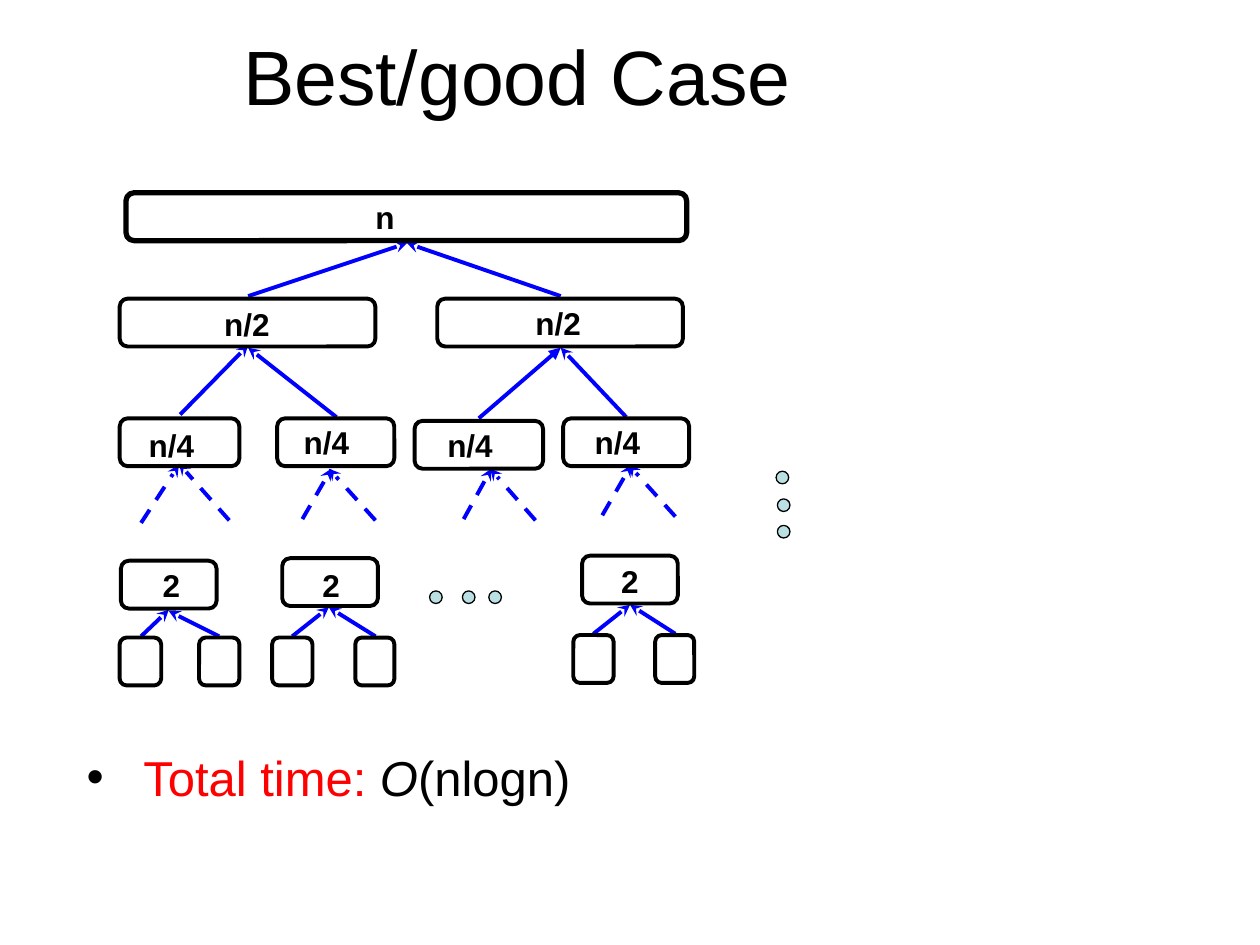
from dataclasses import dataclass

from lxml.etree import SubElement
from pptx import Presentation
from pptx.dml.color import RGBColor as RGB
from pptx.enum.dml import MSO_LINE
from pptx.enum.shapes import MSO_CONNECTOR, MSO_SHAPE
from pptx.enum.text import MSO_ANCHOR, MSO_AUTO_SIZE, PP_ALIGN
from pptx.oxml.ns import qn
from pptx.util import Inches, Pt


@dataclass(frozen=True)
class Theme:
    font: str = "Arial"
    black: RGB = RGB(0, 0, 0)
    red: RGB = RGB(255, 0, 0)
    blue: RGB = RGB(0, 0, 255)
    dot: RGB = RGB(0xBB, 0xE0, 0xE3)
    title: int = 44
    body: int = 28
    label: int = 18
    thin: float = 0.75
    line: float = 2.25
    thick: float = 3


T = Theme()
BOX_H = 0.38
DOT = 0.1

# Boxes of the tree: left, top, width
ROOT = (1, 1.53, 4.45)
NODES = [
    (0.95, 2.37, 2.03), (3.47, 2.37, 1.95),
    (0.95, 3.32, 0.95), (2.2, 3.32, 0.93), (3.29, 3.34, 1.02), (4.47, 3.32, 1),
    (0.96, 4.45, 0.76), (2.24, 4.43, 0.76), (4.62, 4.41, 0.76),
    (0.95, 5.06, 0.33), (1.58, 5.06, 0.32), (2.16, 5.06, 0.32),
    (2.82, 5.06, 0.31), (4.55, 5.04, 0.32), (5.2, 5.04, 0.31),
]

# Labels: text, left, top
LABELS = [
    ("n", 2.98, 1.57), ("n/2", 1.78, 2.42), ("n/2", 4.25, 2.41),
    ("n/4", 1.18, 3.38), ("n/4", 2.41, 3.36), ("n/4", 3.55, 3.38), ("n/4", 4.72, 3.36),
    ("2", 1.29, 4.49), ("2", 2.56, 4.49), ("2", 4.93, 4.46),
]

# Arrows: start, tip
MERGES = [
    ((1.97, 2.35), (3.23, 1.93)), ((4.45, 2.35), (3.23, 1.93)),
    ((1.43, 3.29), (1.97, 2.74)), ((2.67, 3.31), (1.97, 2.76)),
    ((4.97, 3.31), (4.45, 2.76)),
    ((1.12, 5.05), (1.34, 4.84)), ((1.74, 5.05), (1.34, 4.85)),
    ((2.32, 5.05), (2.61, 4.82)), ((2.98, 5.05), (2.61, 4.82)),
    ((4.71, 5.03), (5, 4.8)), ((5.36, 5.03), (5, 4.8)),
]
SKIPPED_LEVELS = [
    ((1.12, 4.15), (1.42, 3.69)), ((1.82, 4.13), (1.42, 3.68)),
    ((2.4, 4.12), (2.63, 3.72)), ((2.98, 4.13), (2.61, 3.72)),
    ((3.68, 4.12), (3.9, 3.72)), ((4.25, 4.13), (3.89, 3.72)),
    ((4.78, 4.09), (5.01, 3.69)), ((5.36, 4.1), (4.99, 3.69)),
]
DOTS = [(3.41, 4.69), (3.67, 4.69), (3.88, 4.69),
        (6.16, 3.74), (6.17, 3.96), (6.17, 4.17)]


def add_run(p, text, size, color=T.black, bold=False, italic=False):
    r = p.add_run()
    r.text = text
    f = r.font
    f.name, f.size, f.bold, f.italic = T.font, Pt(size), bold, italic
    f.color.rgb = color


def add_title(s, text):
    sp = s.shapes.title
    sp.left, sp.top = Inches(-0.02), Inches(0.19)
    sp.width, sp.height = Inches(8.25), Inches(0.81)
    tf = sp.text_frame
    tf.auto_size = MSO_AUTO_SIZE.NONE
    tf.vertical_anchor = MSO_ANCHOR.MIDDLE
    p = tf.paragraphs[0]
    p.alignment = PP_ALIGN.CENTER
    add_run(p, text, T.title)


def add_box(s, x, y, w, weight=T.line):
    sp = s.shapes.add_shape(MSO_SHAPE.ROUNDED_RECTANGLE,
                            Inches(x), Inches(y), Inches(w), Inches(BOX_H))
    sp.shadow.inherit = False
    sp.adjustments[0] = 0.167
    sp.fill.background()
    sp.line.color.rgb = T.black
    sp.line.width = Pt(weight)


def add_dot(s, x, y):
    sp = s.shapes.add_shape(MSO_SHAPE.OVAL, Inches(x), Inches(y), Inches(DOT), Inches(DOT))
    sp.shadow.inherit = False
    sp.fill.solid()
    sp.fill.fore_color.rgb = T.dot
    sp.line.color.rgb = T.black
    sp.line.width = Pt(T.thin)


def add_arrow(s, start, tip, head="stealth", dashed=False):
    c = s.shapes.add_connector(MSO_CONNECTOR.STRAIGHT,
                               *(Inches(v) for v in (*start, *tip)))
    c.line.color.rgb = T.blue
    c.line.width = Pt(T.line)
    if dashed:
        c.line.dash_style = MSO_LINE.DASH
    SubElement(c.line._get_or_add_ln(), qn("a:tailEnd"), type=head)
    SubElement(c._element.spPr, qn("a:effectLst"))


def add_label(s, text, x, y):
    tf = s.shapes.add_textbox(Inches(x), Inches(y), Inches(0.56), Inches(0.3)).text_frame
    tf.word_wrap = True
    tf.margin_left = tf.margin_right = tf.margin_top = tf.margin_bottom = 0
    add_run(tf.paragraphs[0], text, T.label, bold=True)


def add_bullet(s, runs):
    tf = s.shapes.add_textbox(Inches(0.59), Inches(5.88), Inches(7.73), Inches(1.04)).text_frame
    tf.word_wrap = True
    p = tf.paragraphs[0]
    pPr = p._p.get_or_add_pPr()
    pPr.set("marL", str(Inches(0.45)))
    pPr.set("indent", str(-Inches(0.45)))
    color = SubElement(pPr, qn("a:buClr"))
    SubElement(color, qn("a:srgbClr"), val=str(T.black))
    SubElement(pPr, qn("a:buFont"), typeface=T.font)
    SubElement(pPr, qn("a:buChar"), char="•")
    for text, style in runs:
        add_run(p, text, T.body, **style)


def main():
    prs = Presentation()
    prs.slide_width, prs.slide_height = Inches(10), Inches(7.5)
    s = prs.slides.add_slide(prs.slide_layouts[5])
    add_title(s, "Best/good Case")

    # Arrows between the levels
    for start, tip in MERGES:
        add_arrow(s, start, tip)
    add_arrow(s, (3.8, 3.32), (4.45, 2.76), head="triangle")
    for start, tip in SKIPPED_LEVELS:
        add_arrow(s, start, tip, dashed=True)

    # Recursion tree
    add_box(s, *ROOT, weight=T.thick)
    for node in NODES:
        add_box(s, *node)
    for label in LABELS:
        add_label(s, *label)

    # Ellipsis dots
    for dot in DOTS:
        add_dot(s, *dot)

    # Conclusion
    add_bullet(s, [("Total time: ", {"color": T.red}),
                   ("O", {"italic": True}),
                   ("(nlogn)", {})])
    prs.save("out.pptx")


if __name__ == "__main__":
    main()
